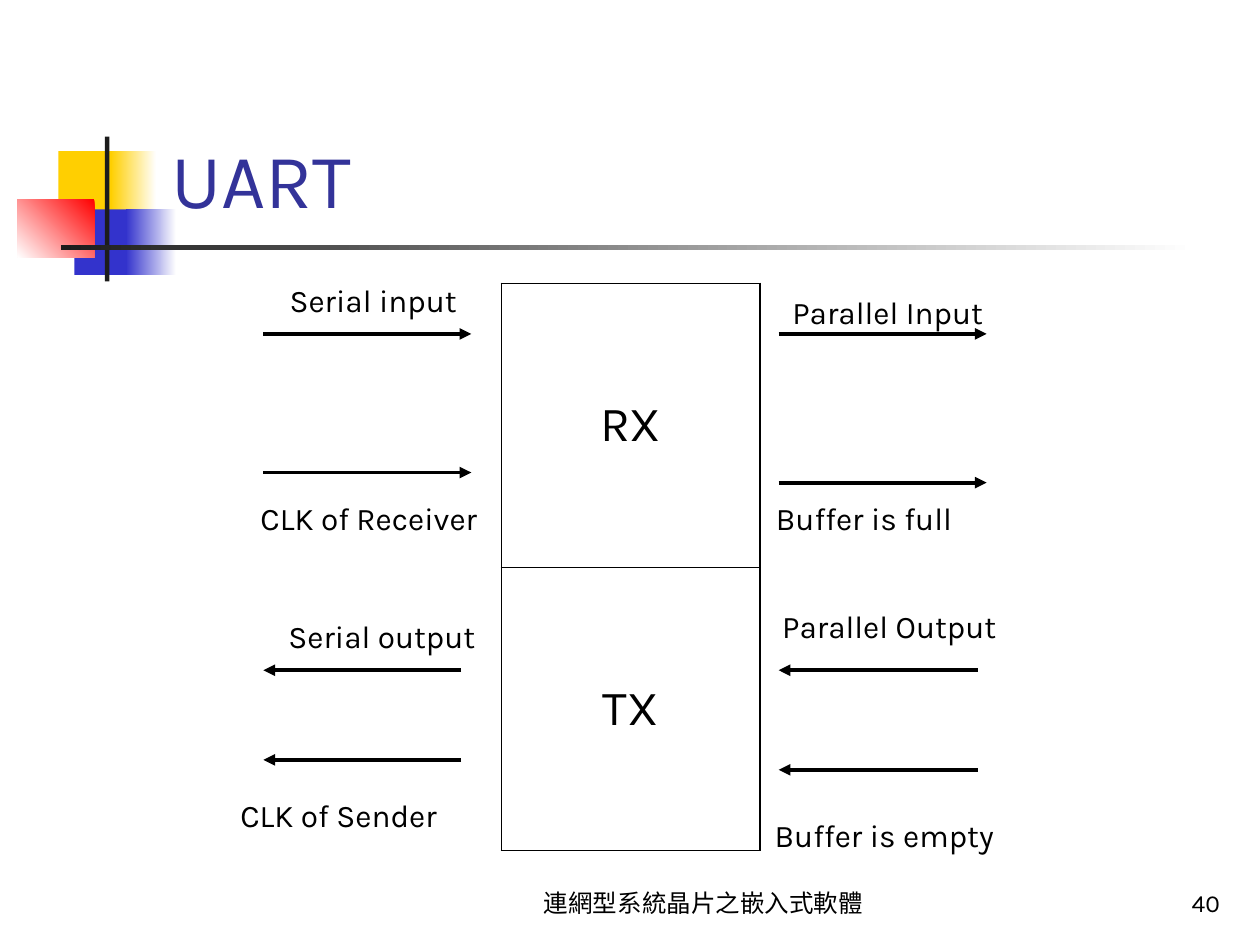
import pptx
import pptx.dml.color
import pptx.enum.shapes
import pptx.enum.text
import pptx.oxml
import pptx.oxml.ns
import pptx.util
from lxml import etree

Pt = pptx.util.Pt
RGB = pptx.dml.color.RGBColor.from_string
ALIGN = pptx.enum.text.PP_ALIGN
ANCHOR = pptx.enum.text.MSO_ANCHOR
qn = pptx.oxml.ns.qn
FONT = "Karla"
COLORS = {"yellow": "FFCF01", "blue": "3333CC", "red": "FF0000", "dark": "1C1C1C",
          "white": "FFFFFF", "black": "000000", "title": "333399"}

deck = pptx.Presentation()
deck.slide_width, deck.slide_height = Pt(720), Pt(540)
slide = deck.slides.add_slide(deck.slide_layouts[5])


def write(frame, text, size, color="black", align=ALIGN.LEFT):
    frame.text = text
    paragraph = frame.paragraphs[0]
    paragraph.alignment = align
    font = paragraph.runs[0].font
    font.name, font.size, font.color.rgb = FONT, Pt(size), RGB(COLORS[color])


def add_text(box, text, size, align=ALIGN.LEFT, wrap=False, anchor=ANCHOR.TOP):
    frame = slide.shapes.add_textbox(*map(Pt, box)).text_frame
    write(frame, text, size, align=align)
    frame.word_wrap = wrap
    frame.vertical_anchor = anchor


# Decorative corner: one colour is solid, two are a gradient with its angle
ornaments = [
    ((33.3, 86.4, 34.6, 37.4), ["yellow"], 0),
    ((63.4, 86.4, 25.9, 37.4), ["white", "yellow"], 180),
    ((42.5, 119.7, 33.1, 37.4), ["blue"], 0),
    ((72, 119.7, 28.8, 37.4), ["white", "blue"], 180),
    ((10, 113.8, 44, 33.3), ["red", "white"], 225),
    ((60, 78, 2.5, 82.8), ["dark"], 0),
    ((34.9, 140.2, 648, 2.5), ["white", "dark"], 180),
]
for box, tones, angle in ornaments:
    ornament = slide.shapes.add_shape(pptx.enum.shapes.MSO_SHAPE.RECTANGLE, *map(Pt, box))
    ornament.shadow.inherit = False
    ornament.line.fill.background()
    if len(tones) == 1:
        ornament.fill.solid()
        ornament.fill.fore_color.rgb = RGB(COLORS[tones[0]])
    else:
        ornament.fill.gradient()
        ornament.fill.gradient_angle = angle
        for stop, tone in zip(ornament.fill.gradient_stops, tones):
            stop.color.rgb = RGB(COLORS[tone])

# Title
title = slide.shapes.title
title.left, title.top, title.width, title.height = map(Pt, (90.7, 16.6, 613.4, 115.2))
write(title.text_frame, "UART", 44, "title")
title.text_frame.vertical_anchor = ANCHOR.BOTTOM

# Receiver and transmitter blocks
blocks = slide.shapes.add_table(2, 1, Pt(286.6), Pt(162), Pt(147.6), Pt(324)).table
blocks.first_row = blocks.horz_banding = False
outer, inner = 1.08, 0.45
for row, (name, top, bottom) in enumerate([("RX", outer, inner), ("TX", inner, outer)]):
    cell = blocks.cell(row, 0)
    write(cell.text_frame, name, 28, align=ALIGN.CENTER)
    cell.vertical_anchor = ANCHOR.MIDDLE
    cell.margin_left = cell.margin_right = Pt(7.2)
    cell.margin_top = cell.margin_bottom = Pt(3.6)
    properties = cell._tc.get_or_add_tcPr()
    for side, width in [("L", outer), ("R", outer), ("T", top), ("B", bottom)]:
        border = etree.SubElement(properties, qn(f"a:ln{side}"), w=str(Pt(width)))
        solid = etree.SubElement(border, qn("a:solidFill"))
        etree.SubElement(solid, qn("a:srgbClr"), val=COLORS["black"])
    cell.fill.background()

# Signal arrows: start x, end x, y
signals = [
    (150.5, 269.3, 190.8), (445, 563.8, 190.8),
    (445, 563.8, 275.8), (150.5, 269.3, 270),
    (263.5, 150.5, 383), (558.7, 445, 383),
    (558.7, 445, 439.9), (263.5, 150.5, 434.2),
]
for start, end, y in signals:
    signal = slide.shapes.add_connector(
        pptx.enum.shapes.MSO_CONNECTOR.STRAIGHT, Pt(start), Pt(y), Pt(end), Pt(y))
    signal.line.width = Pt(2.25)
    signal.line.color.rgb = RGB(COLORS["black"])
    etree.SubElement(signal.line._get_or_add_ln(), qn("a:tailEnd"), type="triangle")
    etree.SubElement(signal._element.spPr, qn("a:effectLst"))

# Signal labels: text, left, top, width
labels = [
    ("Serial input", 158.4, 157, 110.2), ("Parallel Input", 445.7, 163.7, 127.4),
    ("CLK of Receiver", 141.8, 281.5, 144), ("Buffer is full", 436.3, 281.5, 115.9),
    ("Serial output", 157.7, 349.2, 123.1), ("Parallel Output", 439.9, 343.4, 141.8),
    ("CLK of Sender", 130.3, 451.4, 132.5), ("Buffer is empty", 435.6, 462.6, 143.3),
]
for text, left, top, width in labels:
    add_text((left, top, width, 28.8), text, 18)

# Footer and page number
add_text((288, 491.8, 228.2, 36), "連網型系統晶片之嵌入式軟體", 14, ALIGN.CENTER, True, ANCHOR.BOTTOM)
add_text((554.4, 491.8, 149.8, 36), "40", 14, ALIGN.RIGHT, True, ANCHOR.BOTTOM)

deck.save("out.pptx")
